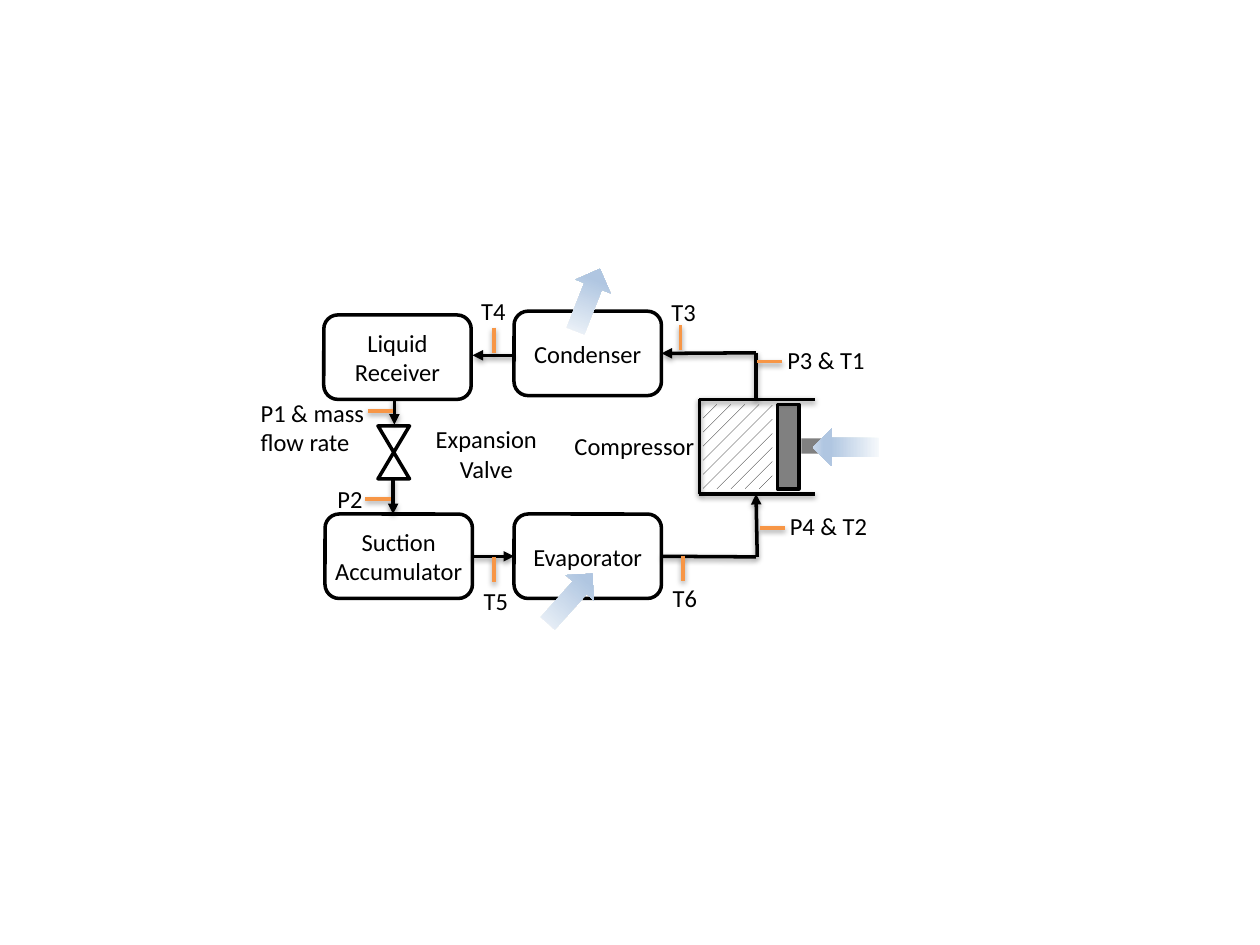
from lxml import etree
from pptx import Presentation
from pptx.dml.color import RGBColor
from pptx.enum.dml import MSO_PATTERN
from pptx.enum.shapes import MSO_CONNECTOR, MSO_SHAPE
from pptx.enum.text import MSO_ANCHOR, PP_ALIGN
from pptx.oxml import parse_xml
from pptx.oxml.ns import nsdecls, qn
from pptx.util import Inches, Pt

THEME = dict(
    font="Calibri", size=14, line=2,
    ink="000000", paper="FFFFFF", steel="808080", sensor="F79646",
    air=[(0, "F6F9FC"), (74, "B0C6E1"), (83, "B0C6E1"), (100, "CAD9EB")],
)
LEFT, RIGHT = 1, 3  # connection sites of a box

BOX_SIZE = (1.17, 0.67)
BOX_INSET = 0.02
BOXES = {  # name: left, top
    "Condenser": (4.08, 2.47),
    "Evaporator": (4.08, 4.08),
    "Liquid Receiver": (2.57, 2.5),
    "Suction Accumulator": (2.58, 4.08),
}
PARTS = [  # preset, left, top, width, height, fill, outlined
    (MSO_SHAPE.FLOWCHART_COLLATE, 3, 3.38, 0.25, 0.42, "paper", True),
    (MSO_SHAPE.RECTANGLE, 6.17, 3.21, 0.17, 0.67, "steel", True),
    (MSO_SHAPE.RECTANGLE, 6.36, 3.48, 0.47, 0.12, "steel", False),
    (MSO_SHAPE.RECTANGLE, 5.58, 3.21, 0.55, 0.67, "hatch", False),
]
CYLINDER = [  # from, to
    ((5.55, 3.17), (6.47, 3.17)),
    ((5.55, 3.92), (6.47, 3.92)),
    ((5.55, 3.92), (5.55, 3.17)),
]
PIPES = [  # from, to, arrowhead; an end is a point or (box, side)
    ((6.01, 4.42), (6, 3.92), True),
    (("Suction Accumulator", RIGHT), ("Evaporator", LEFT), True),
    ((3.13, 3.17), (3.13, 3.37), True),
    ((6, 2.8), (6, 3.17), False),
    ((6, 2.8), ("Condenser", RIGHT), True),
    ((6, 4.42), ("Evaporator", RIGHT), False),
    ((4.08, 2.82), (3.75, 2.82), True),
    ((3.12, 3.8), (3.12, 4.08), True),
]
SENSOR_LENGTH = 0.2
UPRIGHT_SENSORS = [(3.92, 4.42), (5.42, 4.41), (5.4, 2.58), (3.92, 2.6)]
LEVEL_SENSORS = [(6.01, 2.87), (6.03, 4.19), (2.92, 3.26), (2.9, 3.96)]

AIR_SIZE = (0.53, 0.3)
AIR_FLOWS = [(6.45, 3.4, 180), (4.4, 2.23, 291.4), (4.26, 4.6, 311.9)]

LABELS = [  # text, left, top, width, height, alignment
    ("Compressor", 4.45, 3.37, 1.17, 0.34, PP_ALIGN.CENTER),
    ("Expansion Valve", 3.34, 3.32, 1.04, 0.57, PP_ALIGN.CENTER),
    ("P4 & T2", 6.17, 4.01, 1.08, 0.34, PP_ALIGN.LEFT),
    ("P3 & T1", 6.15, 2.69, 1.08, 0.34, PP_ALIGN.LEFT),
    ("T3", 5.23, 2.31, 1.08, 0.34, PP_ALIGN.LEFT),
    ("T4", 3.72, 2.3, 1.08, 0.34, PP_ALIGN.LEFT),
    ("T5", 3.74, 4.6, 1.08, 0.34, PP_ALIGN.LEFT),
    ("T6", 5.24, 4.58, 1.08, 0.34, PP_ALIGN.LEFT),
    ("P1 & mass flow rate", 1.97, 3.11, 1.08, 0.57, PP_ALIGN.LEFT),
    ("P2", 2.58, 3.79, 1.08, 0.34, PP_ALIGN.LEFT),
]


def color(name):
    return RGBColor.from_string(THEME[name])


def write(tf, text, align):
    tf.word_wrap = True
    p = tf.paragraphs[0]
    p.text, p.alignment = text, align
    p.font.name, p.font.size = THEME["font"], Pt(THEME["size"])
    p.font.color.rgb = color("ink")


def add_part(s, preset, x, y, w, h, fill, outlined):
    sp = s.shapes.add_shape(preset, *map(Inches, (x, y, w, h)))
    sp.shadow.inherit = False
    if fill == "hatch":
        sp.fill.patterned()
        sp.fill.pattern = MSO_PATTERN.PERCENT_10
        sp.fill.fore_color.rgb = color("ink")
        sp.fill.back_color.rgb = color("paper")
    elif fill == "air":
        sp.fill.gradient()
        sp.fill.gradient_angle = 0
        stops = sp.fill._fill._gradFill.find(qn("a:gsLst"))
        for stop in list(stops):
            stops.remove(stop)
        for pos, rgb in THEME["air"]:
            stop = etree.SubElement(stops, qn("a:gs"), pos=str(pos * 1000))
            etree.SubElement(stop, qn("a:srgbClr"), val=rgb)
    else:
        sp.fill.solid()
        sp.fill.fore_color.rgb = color(fill)
    if outlined:
        sp.line.color.rgb, sp.line.width = color("ink"), Pt(THEME["line"])
    else:
        sp.line.fill.background()
    return sp


def add_line(s, boxes, start, end, ink="ink", arrow=False):
    """Draw a shadowed line; ends given as (box, side) are joined to the box."""
    ends = [(0, 0) if e[0] in boxes else e for e in (start, end)]
    line = s.shapes.add_connector(
        MSO_CONNECTOR.STRAIGHT, *(Inches(v) for e in ends for v in e))
    if start[0] in boxes:
        line.begin_connect(boxes[start[0]], start[1])
    if end[0] in boxes:
        line.end_connect(boxes[end[0]], end[1])
    line.line.color.rgb, line.line.width = color(ink), Pt(THEME["line"])
    if arrow:
        etree.SubElement(line.line._get_or_add_ln(), qn("a:tailEnd"), type="triangle")
    line._element.spPr.append(parse_xml(
        f'<a:effectLst {nsdecls("a")}><a:outerShdw blurRad="{Pt(3.1)}" '
        f'dist="{Pt(1.6)}" dir="5400000" rotWithShape="0"><a:srgbClr val="{THEME["ink"]}">'
        '<a:alpha val="38000"/></a:srgbClr></a:outerShdw></a:effectLst>'))


def main():
    prs = Presentation()
    prs.slide_width, prs.slide_height = Inches(10), Inches(7.5)
    s = prs.slides.add_slide(prs.slide_layouts[6])

    boxes = {}
    for name, at in BOXES.items():
        sp = add_part(s, MSO_SHAPE.ROUNDED_RECTANGLE, *at, *BOX_SIZE, "paper", True)
        tf = sp.text_frame
        tf.margin_left = tf.margin_right = Inches(BOX_INSET)
        tf.vertical_anchor = MSO_ANCHOR.MIDDLE
        write(tf, name, PP_ALIGN.CENTER)
        boxes[name] = sp

    for part in PARTS:
        add_part(s, *part)
    for start, end in CYLINDER:
        add_line(s, boxes, start, end)
    for start, end, arrow in PIPES:
        add_line(s, boxes, start, end, arrow=arrow)
    for x, y in UPRIGHT_SENSORS:
        add_line(s, boxes, (x, y), (x, y + SENSOR_LENGTH), "sensor")
    for x, y in LEVEL_SENSORS:
        add_line(s, boxes, (x, y), (x + SENSOR_LENGTH, y), "sensor")
    for x, y, angle in AIR_FLOWS:
        sp = add_part(s, MSO_SHAPE.RIGHT_ARROW, x, y, *AIR_SIZE, "air", False)
        sp.rotation = angle
    for text, x, y, w, h, align in LABELS:
        sp = s.shapes.add_textbox(*map(Inches, (x, y, w, h)))
        write(sp.text_frame, text, align)

    prs.save("out.pptx")


if __name__ == "__main__":
    main()
